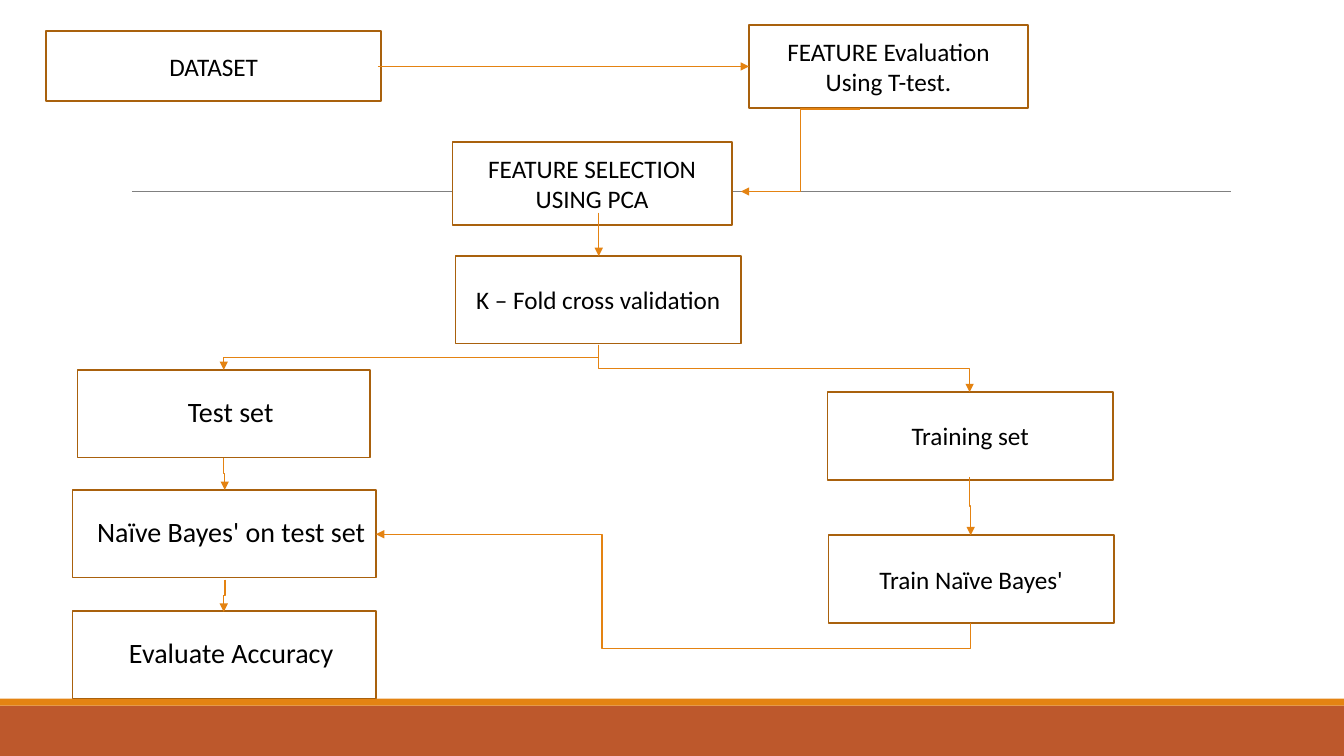
from lxml import etree
from pptx import Presentation
from pptx.dml.color import RGBColor
from pptx.enum.shapes import MSO_CONNECTOR, MSO_SHAPE
from pptx.enum.text import MSO_ANCHOR, PP_ALIGN
from pptx.oxml.ns import qn
from pptx.util import Pt

RECT = MSO_SHAPE.RECTANGLE
ELBOW, STRAIGHT = MSO_CONNECTOR.ELBOW, MSO_CONNECTOR.STRAIGHT
MIDDLE, CENTER = MSO_ANCHOR.MIDDLE, PP_ALIGN.CENTER

THEME = {
    "font": "Calibri", "small": 18, "large": 20,
    "text": "000000", "box": "FFFFFF", "edge": "A9610D",
    "arrow": "E48312", "rule": "808080", "band": "BD582C",
    "edge_pt": 1.25, "arrow_pt": 1, "rule_pt": 0.5,
}
WIDE, HIGH = 960, 540
BANDS = [("band", 504, 36), ("arrow", 499, 5)]
RULE = ((94.3, 136.8), (879, 136.8))

STEPS = [
    ("DATASET", 33.1, 22.3, 239, 49.7),
    ("FEATURE Evaluation Using T-test.", 535, 18, 199.4, 59),
    ("FEATURE SELECTION USING PCA", 323.3, 101.5, 199.4, 59),
    ("K – Fold cross validation", 325.4, 182.9, 203.8, 62.6),
    ("Training set", 591.1, 280.1, 203.8, 62.6),
    ("Train Naïve Bayes'", 591.8, 382.3, 203.8, 62.6),
]
TESTS = [
    ("Test set", 55.4, 264.2, 208.8, 62.6, 0),
    ("Naïve Bayes' on test set", 51.8, 349.9, 216.7, 62.6, 7.2),
    ("Evaluate Accuracy", 51.8, 436.3, 216.7, 62.6, 7.2),
]
ACROSS = [
    ((270, 47.5), (535, 47.5)),
    ((614.2, 77.8), (529.2, 136.8)),
]
DOWN = [
    ((427.7, 151.9), (427.7, 182.9), []),
    ((427.7, 246.2), (692.6, 280.1), []),
    ((427.7, 246.2), (159.8, 264.2), []),
    ((692.6, 340.6), (693.4, 382.3), []),
    ((693.4, 445), (268.6, 381.6), [-28400, 62000]),
    ((159.8, 326.9), (160.6, 349.9), []),
    ((160.6, 414), (159.8, 437), []),
]


def color(key):
    return RGBColor.from_string(THEME[key])


def block(slide, x, y, w, h, fill):
    shape = slide.shapes.add_shape(RECT, Pt(x), Pt(y), Pt(w), Pt(h))
    shape.shadow.inherit = False
    shape.fill.solid()
    shape.fill.fore_color.rgb = color(fill)
    shape.line.fill.background()
    return shape


def box(slide, label, x, y, w, h, size):
    shape = block(slide, x, y, w, h, "box")
    shape.line.color.rgb = color("edge")
    shape.line.width = Pt(THEME["edge_pt"])
    frame = shape.text_frame
    frame.text = label
    frame.word_wrap = True
    frame.vertical_anchor = MIDDLE
    para = frame.paragraphs[0]
    para.alignment = CENTER
    font = para.runs[0].font
    font.name, font.size = THEME["font"], Pt(THEME[size])
    font.color.rgb = color("text")
    return frame


def indent(frame, inset):
    frame.margin_left = frame.margin_right = Pt(inset)
    para = frame.paragraphs[0]
    para.line_spacing = 0.9
    para.space_before, para.space_after = Pt(12), Pt(2)
    props = para._p.get_or_add_pPr()
    props.set("marL", str(Pt(7.2)))
    props.set("indent", str(-Pt(7.2)))
    tint = etree.SubElement(props, qn("a:buClr"))
    etree.SubElement(tint, qn("a:srgbClr"), val=THEME["arrow"])
    etree.SubElement(props, qn("a:buChar"), char=" ")


def link(slide, kind, start, end, name):
    line = slide.shapes.add_connector(kind, *map(Pt, start + end))
    line.line.color.rgb = color(name)
    line.line.width = Pt(THEME[name + "_pt"])
    etree.SubElement(line._element.spPr, qn("a:effectLst"))
    return line


def arrow(slide, start, end):
    line = link(slide, ELBOW, start, end, "arrow")
    etree.SubElement(line.line._get_or_add_ln(), qn("a:tailEnd"), type="triangle")
    return line


def drop(slide, start, end, bends):
    (x1, y1), (x2, y2) = start, end
    mid_x, mid_y = (x1 + x2) / 2, (y1 + y2) / 2
    half_x, half_y = (y2 - y1) / 2, (x1 - x2) / 2
    line = arrow(slide, (mid_x - half_x, mid_y - half_y),
                 (mid_x + half_x, mid_y + half_y))
    props = line._element.spPr
    props.find(qn("a:xfrm")).set("rot", str(90 * 60000))
    if bends:
        geom = props.find(qn("a:prstGeom"))
        geom.set("prst", "bentConnector4")
        guides = geom.find(qn("a:avLst"))
        for rank, bend in enumerate(bends, 1):
            etree.SubElement(guides, qn("a:gd"), name=f"adj{rank}", fmla=f"val {bend}")


def main():
    deck = Presentation()
    deck.slide_width, deck.slide_height = Pt(WIDE), Pt(HIGH)
    slide = deck.slides.add_slide(deck.slide_layouts[6])
    for fill, top, tall in BANDS:
        block(slide, 0, top, WIDE, tall, fill)
    link(slide, STRAIGHT, *RULE, "rule")
    for step in STEPS:
        box(slide, *step, "small")
    for *test, inset in TESTS:
        indent(box(slide, *test, "large"), inset)
    for ends in ACROSS:
        arrow(slide, *ends)
    for route in DOWN:
        drop(slide, *route)
    deck.save("out.pptx")


if __name__ == "__main__":
    main()
